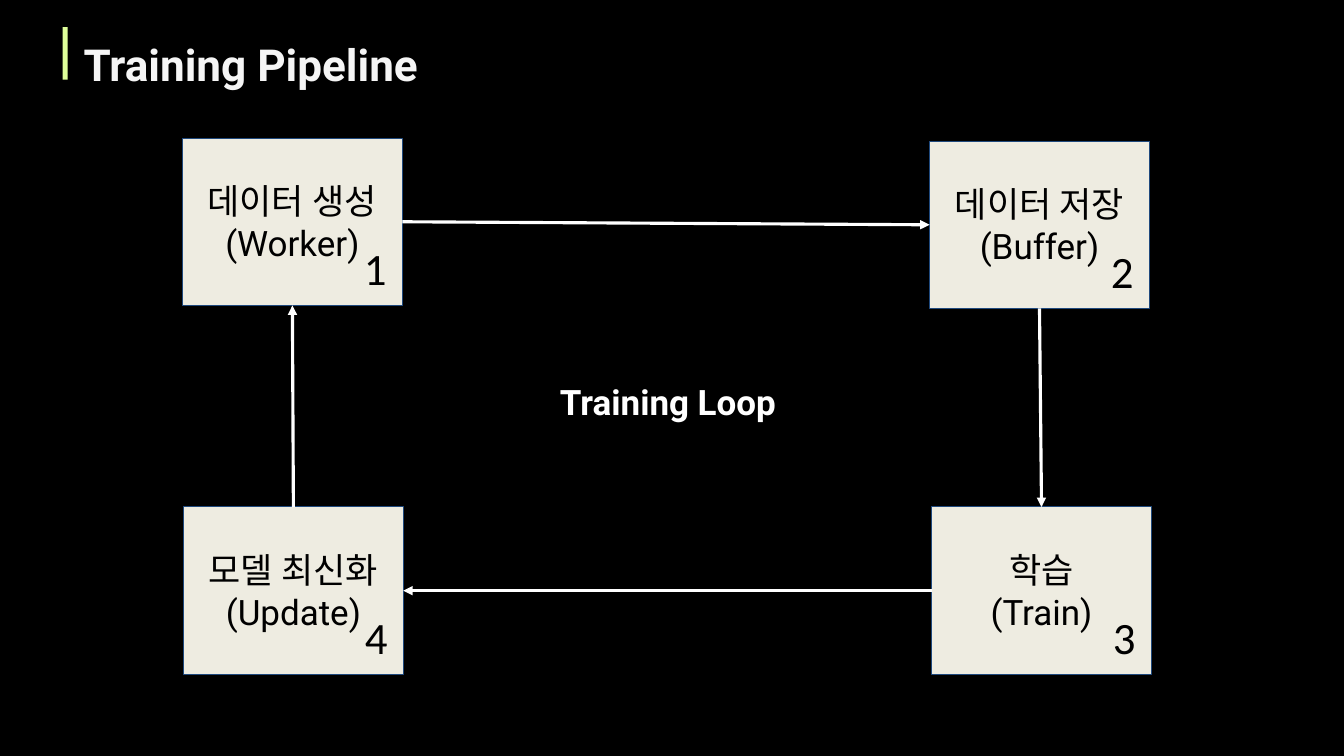
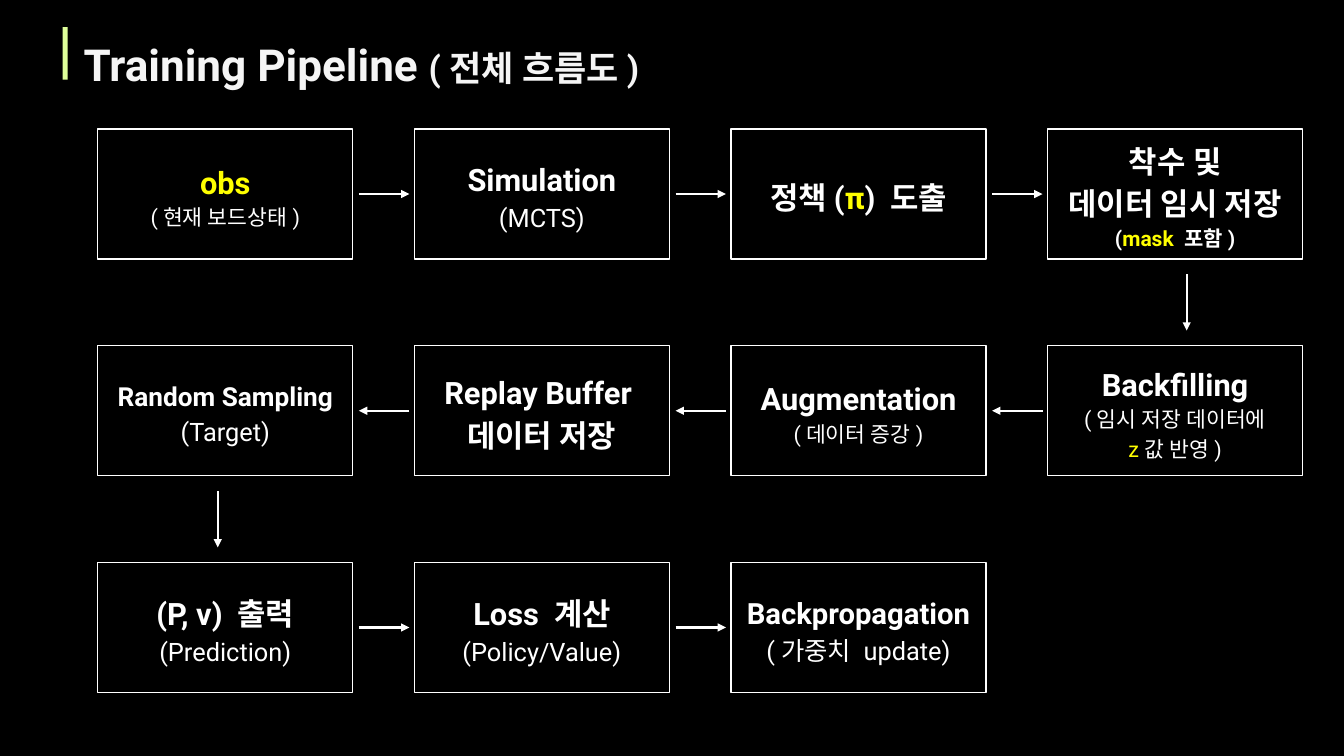
import pptx
import pptx.util
import pptx.dml.color
import pptx.enum.shapes
import pptx.enum.text
import pptx.oxml
import pptx.oxml.ns

Inches = pptx.util.Inches
Pt = pptx.util.Pt
ALIGN = pptx.enum.text.PP_ALIGN
ANCHOR = pptx.enum.text.MSO_ANCHOR
TOP, LEFT, BOTTOM, RIGHT = range(4)

COLORS = {
    "background": "000000",
    "title": "F5F5F5",
    "accent": "DEFF9A",
    "panel": "EEECE1",
    "panel_line": "1F497D",
    "dark": "000000",
    "light": "FFFFFF",
    "highlight": "FFFF00",
}

FORMATS = {
    "title": {"size": Pt(31.5), "bold": True},
    "subtitle": {"size": Pt(25), "bold": True},
    "stage": {"size": Pt(25), "bold": False},
    "number": {"size": Pt(32), "name": "Calibri"},
    "head": {"size": Pt(22), "bold": True},
    "head_tight": {"size": Pt(20.9), "bold": True},
    "head_small": {"size": Pt(18.7), "bold": True},
    "note": {"size": Pt(18.1), "bold": False},
    "note_small": {"size": Pt(15.4), "bold": False},
    "note_bold": {"size": Pt(15), "bold": True},
}

STAGE_W, STAGE_H = 2.18, 1.66
STAGES = [
    (1.81, 1.37, "데이터 생성", "(Worker)"),
    (9.22, 1.4, "데이터 저장", "(Buffer)"),
    (9.24, 5.03, "학습", "(Train)"),
    (1.82, 5.03, "모델 최신화", "(Update)"),
]
STAGE_LINKS = [(RIGHT, LEFT), (BOTTOM, TOP), (LEFT, RIGHT), (TOP, BOTTOM)]

STEP_W, STEP_H = 2.53, 1.29
STEP_X, STEP_Y = 0.97, 1.28
STEP_DX, STEP_DY = 3.14, 2.15
TURN_X = {3: 11.77, 0: 2.16}
STEPS = [
    (0, 0, [[("obs", "head", "highlight")],
            [("(현재 보드상태)", "note_small")]]),
    (1, 0, [[("Simulation", "head")], [("(MCTS)", "note")]]),
    (2, 0, [[("정책(", "head"), ("π", "head", "highlight"),
             (") 도출", "head")]]),
    (3, 0, [[("착수 및", "head")], [("데이터 임시 저장", "head")],
            [("(", "note_bold"), ("mask ", "note_bold", "highlight"),
             ("포함)", "note_bold")]]),
    (3, 1, [[("Backfilling", "head")],
            [("(임시 저장 데이터에", "note_small")],
            [("z", "note_small", "highlight"), ("값 반영)", "note_small")]]),
    (2, 1, [[("Augmentation", "head")], [("(데이터 증강)", "note_small")]]),
    (1, 1, [[("Replay Buffer ", "head")], [("데이터 저장", "head")]]),
    (0, 1, [[("Random Sampling", "head_small")], [("(Target)", "note")]]),
    (0, 2, [[("(P, v) 출력", "head")], [("(Prediction)", "note")]]),
    (1, 2, [[("Loss 계산", "head")], [("(Policy/Value)", "note")]]),
    (2, 2, [[("Backpropagation", "head_tight")],
            [("(가중치 update)", "note")]]),
]


def rgb(name):
    return pptx.dml.color.RGBColor.from_string(COLORS[name])


def add_run(p, text, fmt, color):
    r = p.add_run()
    r.text = text
    for key, value in {"name": "Roboto", **FORMATS[fmt]}.items():
        setattr(r.font, key, value)
    r.font.color.rgb = rgb(color)
    ea = pptx.oxml.parse_xml(
        f'<a:ea {pptx.oxml.ns.nsdecls("a")} typeface="{r.font.name}"/>')
    r.font._element.append(ea)


def write(sp, lines, color, margin=0.1, **paragraph):
    tf = sp.text_frame
    frame = {"word_wrap": True}
    for side in ("left", "top", "right", "bottom"):
        frame[f"margin_{side}"] = Inches(margin)
    for key, value in frame.items():
        setattr(tf, key, value)
    p = tf.paragraphs[0]
    for key, value in paragraph.items():
        setattr(p, key, value)
    for i, line in enumerate(lines):
        if i:
            p.add_line_break()
        for text, fmt, *own_color in line:
            add_run(p, text, fmt, own_color[0] if own_color else color)


def add_text(s, x, y, w, h, lines, color, grow=False, **options):
    sp = s.shapes.add_textbox(Inches(x), Inches(y), Inches(w), Inches(h))
    write(sp, lines, color, **options)
    if grow:
        sp.text_frame.auto_size = pptx.enum.text.MSO_AUTO_SIZE.SHAPE_TO_FIT_TEXT


def add_box(s, x, y, w, h, fill=None, line=None, width=0.75):
    sp = s.shapes.add_shape(pptx.enum.shapes.MSO_SHAPE.RECTANGLE,
                            Inches(x), Inches(y), Inches(w), Inches(h))
    sp.shadow.inherit = False
    if fill:
        sp.fill.solid()
        sp.fill.fore_color.rgb = rgb(fill)
    else:
        sp.fill.background()
    if line:
        sp.line.color.rgb = rgb(line)
        sp.line.width = Pt(width)
    else:
        sp.line.fill.background()
    sp.text_frame.vertical_anchor = ANCHOR.MIDDLE
    return sp


def add_arrow(s, width, x1=0, y1=0, x2=0, y2=0):
    c = s.shapes.add_connector(pptx.enum.shapes.MSO_CONNECTOR.STRAIGHT,
                               Inches(x1), Inches(y1), Inches(x2), Inches(y2))
    c.line.color.rgb = rgb("light")
    c.line.width = Pt(width)
    ns = pptx.oxml.ns.nsdecls("a")
    c.line._get_or_add_ln().append(
        pptx.oxml.parse_xml(f'<a:tailEnd {ns} type="triangle"/>'))
    c._element.spPr.append(pptx.oxml.parse_xml(f"<a:effectLst {ns}/>"))
    return c


def add_slide(prs, *title):
    s = prs.slides.add_slide(prs.slide_layouts[6])
    add_text(s, 0.83, 0.27, 12.47, 0.53, [title], "title",
             grow=True, margin=0, line_spacing=1.2)
    add_box(s, 0.62, 0.27, 0.05, 0.52, fill="accent")
    return s


def add_stage(s, number, x, y, name, role):
    sp = add_box(s, x, y, STAGE_W, STAGE_H, "panel", "panel_line")
    write(sp, [[(name, "stage")], [(role, "stage")]], "dark",
          alignment=ALIGN.CENTER)
    add_text(s, x + 1.7, y + 0.92, 0.48, 0.74, [[(str(number), "number")]],
             "dark", grow=True)
    return sp


def add_step(s, col, row, lines):
    sp = add_box(s, STEP_X + col * STEP_DX, STEP_Y + row * STEP_DY,
                 STEP_W, STEP_H, line="light", width=0.82)
    write(sp, lines, "light", margin=0.11,
          alignment=ALIGN.CENTER, line_spacing=1.15)


def add_step_arrow(s, col, row, next_col, next_row):
    if row != next_row:
        y = STEP_Y + row * STEP_DY + STEP_H
        add_arrow(s, 1.65, TURN_X[col], y + 0.15, TURN_X[col], y + 0.71)
        return
    y = STEP_Y + row * STEP_DY + STEP_H / 2
    x = STEP_X + min(col, next_col) * STEP_DX + STEP_W
    ends = (x + 0.06, x + 0.56)
    start, stop = ends if next_col > col else ends[::-1]
    add_arrow(s, 1.65, start, y, stop, y)


def build_loop(prs):
    s = add_slide(prs, ("Training Pipeline", "title"))
    boxes = [add_stage(s, n, *stage) for n, stage in enumerate(STAGES, 1)]
    for i, (out_side, in_side) in enumerate(STAGE_LINKS):
        c = add_arrow(s, 2.25)
        c.begin_connect(boxes[i], out_side)
        c.end_connect(boxes[(i + 1) % len(boxes)], in_side)
    add_text(s, 3.96, 3.68, 5.33, 0.74, [[("Training Loop", "subtitle")]],
             "light", alignment=ALIGN.CENTER)


def build_flow(prs):
    s = add_slide(prs, ("Training Pipeline ", "title"),
                  ("(전체 흐름도)", "subtitle"))
    for step in STEPS:
        add_step(s, *step)
    for here, there in zip(STEPS, STEPS[1:]):
        add_step_arrow(s, *here[:2], *there[:2])


def main():
    prs = pptx.Presentation()
    prs.slide_width = Inches(13.33)
    prs.slide_height = Inches(7.5)
    fill = prs.slide_master.background.fill
    fill.solid()
    fill.fore_color.rgb = rgb("background")
    build_loop(prs)
    build_flow(prs)
    prs.save("out.pptx")


if __name__ == "__main__":
    main()
